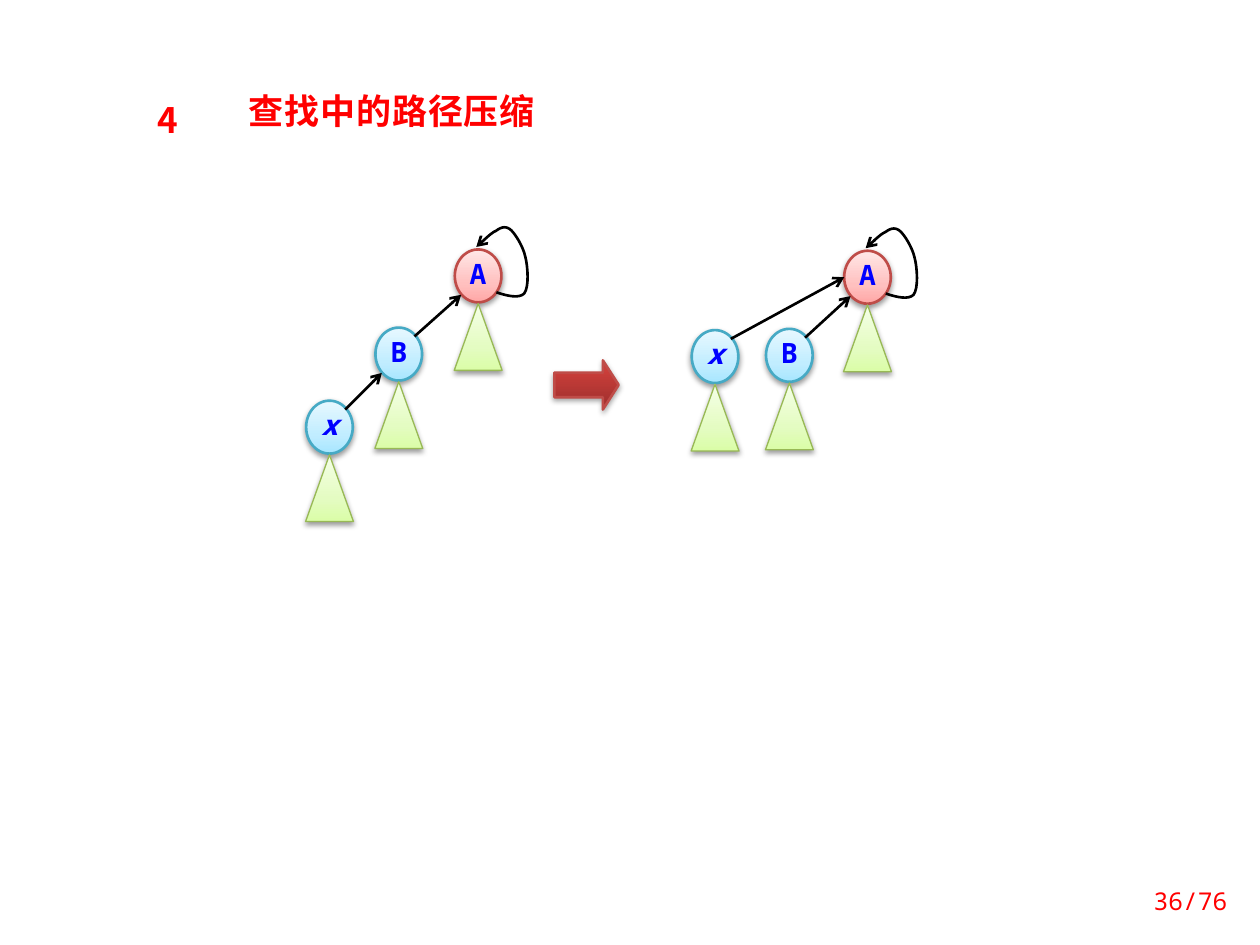
from pptx import Presentation
from pptx.dml.color import RGBColor
from pptx.enum.shapes import MSO_CONNECTOR, MSO_SHAPE
from pptx.enum.text import MSO_ANCHOR, MSO_AUTO_SIZE, PP_ALIGN
from pptx.oxml import parse_xml
from pptx.oxml.ns import nsdecls, qn
from pptx.util import Inches, Pt

COLUMNS, ROWS = 100, 75
CELL = Inches(0.1)
SANS, MONO = "Noto Sans CJK SC", "Noto Sans Mono"
COLORS = {"red": "FF0000", "blue": "0000FF", "black": "000000",
          "root": "BF4C48", "child": "46AAC5", "subtree": "98B955"}
GRADIENTS = {
    "root": ((0, "FFA6A5"), (35, "FFC0BF"), (100, "FFE7E7")),
    "child": ((0, "A7E6FF"), (35, "C1EDFF"), (100, "E7F8FF")),
    "subtree": ((0, "DAFDA7"), (35, "E4FCC2"), (100, "F5FFE7")),
    "step": ((0, "9C2F2D"), (80, "CB3E3A"), (100, "CE3B37")),
}
NODE_WIDTH, NODE_HEIGHT = 3.7, 4.2
LOOP_START = (3.3, 3.4)
LOOP_CURVES = (
    ((4.2, 3.7), (5.1, 3.9), (5.5, 3.5)),
    ((5.9, 3.0), (5.8, 1.4), (5.6, 0.6)),
    ((5.4, -0.3), (4.8, -1.2), (4.5, -1.5)),
    ((4.1, -1.9), (3.7, -1.8), (3.3, -1.5)),
    ((2.8, -1.3), (2.1, -0.5), (1.7, -0.2)),
)


def cells(*counts):
    """Turn grid counts into lengths."""
    return [round(count * CELL) for count in counts]


def format_text(para, size, font, color, bold=False, italic=False):
    """Set the font of a whole paragraph, East Asian face included."""
    para.font.size, para.font.name = Pt(size), font
    para.font.bold, para.font.italic = bold, italic
    para.font.color.rgb = RGBColor.from_string(COLORS[color])
    defaults = para._p.pPr.find(qn("a:defRPr"))
    defaults.append(parse_xml(f'<a:ea {nsdecls("a")} typeface="{font}"/>'))
    return defaults


def add_label(page, box, text, align):
    """Add a wrapping text box and return its frame and paragraph."""
    frame = page.shapes.add_textbox(*cells(*box)).text_frame
    frame.word_wrap = True
    para = frame.paragraphs[0]
    para.text, para.alignment = text, align
    return frame, para


def add_solid(page, preset, box, gradient, outline, width, opacity=38):
    """Add a shape with a vertical gradient, an outline and a soft shadow."""
    shape = page.shapes.add_shape(preset, *cells(*box))
    shape.line.color.rgb = RGBColor.from_string(COLORS[outline])
    shape.line.width = Pt(width)
    stops = "".join(f'<a:gs pos="{place * 1000}"><a:srgbClr val="{color}"/></a:gs>'
                    for place, color in GRADIENTS[gradient])
    properties = shape._element.spPr
    properties.find(qn("a:ln")).addprevious(parse_xml(
        f'<a:gradFill {nsdecls("a")} rotWithShape="1"><a:gsLst>{stops}</a:gsLst>'
        '<a:lin ang="16200000" scaled="0"/></a:gradFill>'))
    properties.append(parse_xml(
        f'<a:effectLst {nsdecls("a")}><a:outerShdw blurRad="{Pt(3.1)}" '
        f'dist="{Pt(1.6)}" dir="5400000" rotWithShape="0"><a:srgbClr val="000000">'
        f'<a:alpha val="{opacity * 1000}"/></a:srgbClr></a:outerShdw></a:effectLst>'))
    return shape


def style_stroke(stroke, end):
    """Make a black line with an open arrowhead at the given end."""
    stroke.line.color.rgb = RGBColor.from_string(COLORS["black"])
    stroke.line.width = Pt(1.5)
    properties = stroke._element.spPr
    properties.find(qn("a:ln")).append(
        parse_xml(f'<a:{end} {nsdecls("a")} type="arrow"/>'))
    properties.append(parse_xml(f'<a:effectLst {nsdecls("a")}/>'))


def draw_node(page, left, top, name, kind):
    """Draw a named node with the subtree that hangs below it."""
    node = add_solid(page, MSO_SHAPE.OVAL, (left, top, NODE_WIDTH, NODE_HEIGHT),
                     kind, kind, 1.5)
    frame = node.text_frame
    frame.margin_left = frame.margin_right = 0
    frame.margin_top = frame.margin_bottom = Inches(0.04)
    frame.vertical_anchor = MSO_ANCHOR.MIDDLE
    para = frame.paragraphs[0]
    para.text, para.alignment, para.line_spacing = name, PP_ALIGN.CENTER, Pt(16)
    format_text(para, 16, MONO, "blue", bold=True, italic=name == "x")
    add_solid(page, MSO_SHAPE.ISOSCELES_TRIANGLE,
              (left - 0.05, top + 4.3, 3.8, 5.3), "subtree", "subtree", 0.75)


def draw_link(page, parent, child, joint):
    """Draw the pointer from a child node to a joint on its parent."""
    ends = cells(parent[0] + joint[0], parent[1] + joint[1],
                 child[0] + 3.1, child[1] + 0.7)
    style_stroke(page.shapes.add_connector(MSO_CONNECTOR.STRAIGHT, *ends), "headEnd")


def draw_loop(page, left, top, steps=8):
    """Draw the curved pointer from the root to itself."""
    points, start = [], LOOP_START
    for first, second, end in LOOP_CURVES:
        for step in range(1, steps + 1):
            t = step / steps
            weights = ((1 - t) ** 3, 3 * t * (1 - t) ** 2, 3 * t ** 2 * (1 - t), t ** 3)
            x, y = (sum(weight * value for weight, value in zip(weights, axis))
                    for axis in zip(start, first, second, end))
            points.append(cells(left + x, top + y))
        start = end
    builder = page.shapes.build_freeform(
        *cells(left + LOOP_START[0], top + LOOP_START[1]))
    builder.add_line_segments(points, close=False)
    loop = builder.convert_to_shape()
    loop.fill.background()
    style_stroke(loop, "tailEnd")


def draw_tree(page, left, top, children, links):
    """Draw a tree from its root corner, child offsets and links."""
    corners = {"A": (left, top)}
    for name, (across, down) in children.items():
        corners[name] = (left + across, top + down)
    for name, corner in corners.items():
        draw_node(page, *corner, name, "root" if name == "A" else "child")
    for parent, child, joint in links:
        draw_link(page, corners[parent], corners[child], joint)
    draw_loop(page, left, top)


def draw_heading(page):
    """Place the section number and the title."""
    title = page.shapes.title
    title.left, title.top, title.width, title.height = cells(18.7, 6.6, 25.8, 4.4)
    frame = title.text_frame
    frame.word_wrap, frame.auto_size = True, MSO_AUTO_SIZE.NONE
    frame.vertical_anchor = MSO_ANCHOR.TOP
    para = frame.paragraphs[0]
    para.text, para.alignment = "查找中的路径压缩", PP_ALIGN.LEFT
    indents = para._p.get_or_add_pPr()
    indents.set("marL", str(Inches(0.5)))
    indents.set("indent", str(Inches(-0.5)))
    format_text(para, 20, SANS, "red", bold=True).set("spc", "50")
    number = add_label(page, (11.2, 8, 4.2, 3.7), "4", PP_ALIGN.CENTER)[1]
    number.line_spacing = 0.8
    format_text(number, 20, SANS, "red", bold=True)


def draw_page_number(page):
    """Place the page count in the lower right corner."""
    frame, para = add_label(page, (87.8, 69.5, 10.6, 4), "36/76", PP_ALIGN.RIGHT)
    frame.vertical_anchor = MSO_ANCHOR.MIDDLE
    format_text(para, 14, MONO, "red")


def main():
    """Build the path compression slide."""
    deck = Presentation()
    deck.slide_width, deck.slide_height = cells(COLUMNS, ROWS)
    page = deck.slides.add_slide(deck.slide_layouts[5])
    draw_heading(page)
    corner, side = (0.5, 3.6), (0, NODE_HEIGHT / 2)
    draw_tree(page, 36.1, 19.8, {"B": (-6.3, 6.2), "x": (-11.8, 12)},
              [("A", "B", corner), ("B", "x", corner)])
    draw_tree(page, 67, 19.9, {"B": (-6.2, 6.2), "x": (-12.1, 6.3)},
              [("A", "B", corner), ("A", "x", side)])
    step = add_solid(page, MSO_SHAPE.RIGHT_ARROW, (44, 28.6, 5.1, 3.9),
                     "step", "root", 1.5, opacity=35)
    step.adjustments[1] = 0.32
    draw_page_number(page)
    deck.save("out.pptx")


if __name__ == "__main__":
    main()
